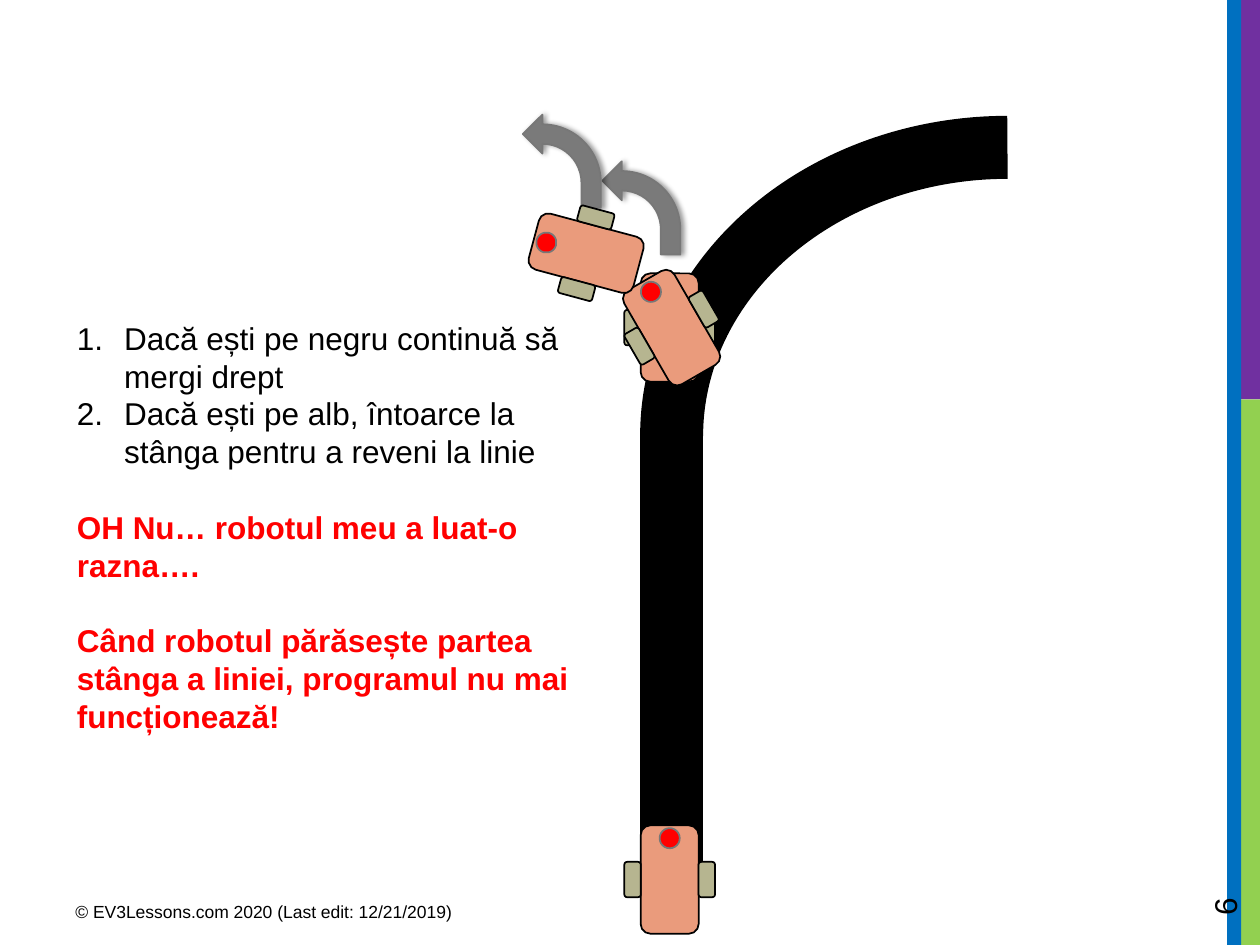
import pptx
import pptx.dml.color
import pptx.enum.shapes
import pptx.enum.text
import pptx.oxml
import pptx.oxml.ns
import pptx.util
import lxml.etree

Pt = pptx.util.Pt
kinds = pptx.enum.shapes.MSO_SHAPE
rgb = pptx.dml.color.RGBColor.from_string
qn = pptx.oxml.ns.qn


def draw(home, kind, box, fill=None, line=None, width=1):
    """Add a preset shape; home is a slide's or a group's shapes, box is in points."""
    shape = home.add_shape(kind, *map(Pt, box))
    shape.shadow.inherit = False
    for part, tint in ((shape.fill, fill), (shape.line.fill, line)):
        if tint:
            part.solid()
            part.fore_color.rgb = rgb(tint)
        else:
            part.background()
    if line:
        shape.line.width = Pt(width)
    return shape


def write(par, text, size, tint="000000", bold=False):
    """Add a formatted run to a paragraph."""
    run = par.add_run()
    run.text = text
    style = {"name": "Arial", "size": Pt(size), "bold": bold}
    for key, value in style.items():
        setattr(run.font, key, value)
    run.font.color.rgb = rgb(tint)


deck = pptx.Presentation()
deck.slide_width, deck.slide_height = Pt(720), Pt(540)
slide = deck.slides.add_slide(deck.slide_layouts[1])
shapes = slide.shapes
title = shapes.title.element
title.getparent().remove(title)

# Colour bars at the right edge
for left, top, wide, high, tint in (
    (701.3, 0, 7.2, 540, "0070C0"),
    (708.5, 228.2, 11.5, 311.8, "92D050"),
    (705.6, 0, 14.4, 228.2, "7030A0"),
    (702, 0, 7.2, 540, "0070C0"),
):
    draw(shapes, kinds.RECTANGLE, (left, top, wide, high), tint)

# Black track: a straight part and a bend
track = shapes.add_connector(
    pptx.enum.shapes.MSO_CONNECTOR.STRAIGHT, Pt(383.8), Pt(501.1), Pt(383.8), Pt(247.7))
track.line.color.rgb = rgb("000000")
track.line.width = Pt(36)
lxml.etree.SubElement(track.element.spPr, qn("a:effectLst"))
bend = draw(shapes, kinds.ARC, (383.8, 84.2, 383.8, 329.8), None, "000000", 36)
bend.element.spPr.xfrm.set("flipH", "1")

# Robots, each with the turn arrow drawn before it
shade = (
    '<a:outerShdw xmlns:a="http://schemas.openxmlformats.org/drawingml/2006/main" '
    'blurRad="39370" dist="22860" dir="0"><a:srgbClr val="000000">'
    '<a:alpha val="40000"/></a:srgbClr></a:outerShdw>'
)
parts = (  # kind, offset of the centre, size, fill, line
    (kinds.ROUNDED_RECTANGLE, 0, 0, 33.1, 61.9, "EA9B7C", "000000"),
    (kinds.ROUNDED_RECTANGLE, 21.2, 0, 9.4, 20.2, "B6B590", "000000"),
    (kinds.ROUNDED_RECTANGLE, -21.2, 0, 9.4, 20.2, "B6B590", "000000"),
    (kinds.OVAL, 0, -23.6, 11.5, 11.5, "FF0000", "777777"),
)
for midx, midy, turn, arrow in (
    (382.7, 502.6, 0, None),
    (382.7, 187.2, 0, None),
    (383.8, 187.2, 330, (344.2, 92.2)),
    (335, 144.7, 285, (298.8, 65.5)),
):
    if arrow:
        curve = draw(shapes, kinds.BENT_ARROW, (*arrow, 44.6, 53.3), "7A7A7A", "777777")
        for spot, value in enumerate((0.25, 0.25, 0.25, 0.75)):
            curve.adjustments[spot] = value
        frame = curve.element.spPr
        frame.xfrm.set("flipH", "1")
        frame.find(qn("a:effectLst")).append(pptx.oxml.parse_xml(shade))
    robot = shapes.add_group_shape()
    for kind, offx, offy, wide, high, fill, line in parts:
        box = (midx + offx - wide / 2, midy + offy - high / 2, wide, high)
        draw(robot.shapes, kind, box, fill, line)
    robot.rotation = turn

# Rules and warning
body = slide.placeholders[1]
place = {"left": 36.7, "top": 178.6, "width": 303.8, "height": 247}
for key, value in place.items():
    setattr(body, key, Pt(value))
frame = body.text_frame
frame.word_wrap = True
frame.vertical_anchor = pptx.enum.text.MSO_ANCHOR.TOP
frame.auto_size = pptx.enum.text.MSO_AUTO_SIZE.SHAPE_TO_FIT_TEXT
for spot, (text, listed) in enumerate((
    ("Dacă ești pe negru continuă să mergi drept", True),
    ("Dacă ești pe alb, întoarce la stânga pentru a reveni la linie", True),
    ("OH Nu… robotul meu a luat-o razna….", False),
    ("Când robotul părăsește partea stânga a liniei, programul nu mai funcționează!", False),
)):
    par = frame.add_paragraph() if spot else frame.paragraphs[0]
    props = par._p.get_or_add_pPr()
    indent = Pt(27) if listed else 0
    props.set("marL", str(indent))
    props.set("indent", str(-indent))
    if listed:
        lxml.etree.SubElement(props, qn("a:buFont"), typeface="+mj-lt")
        lxml.etree.SubElement(props, qn("a:buAutoNum"), type="arabicPeriod")
    else:
        lxml.etree.SubElement(props, qn("a:buNone"))
    par.line_spacing = Pt(21.6)
    par.space_before = Pt(0 if listed else 21.6)
    write(par, text, 18, "000000" if listed else "FF0000", not listed)

# Footer and page number
for text, box, size, turn in (
    ("© EV3Lessons.com 2020 (Last edit: 12/21/2019)", (36, 511.2, 270, 22.3), 10, 0),
    ("6", (648, 463.7, 103.7, 28.8), 18, 270),
):
    note = shapes.add_textbox(*map(Pt, box))
    note.rotation = turn
    note.text_frame.word_wrap = True
    write(note.text_frame.paragraphs[0], text, size)

deck.save("out.pptx")
